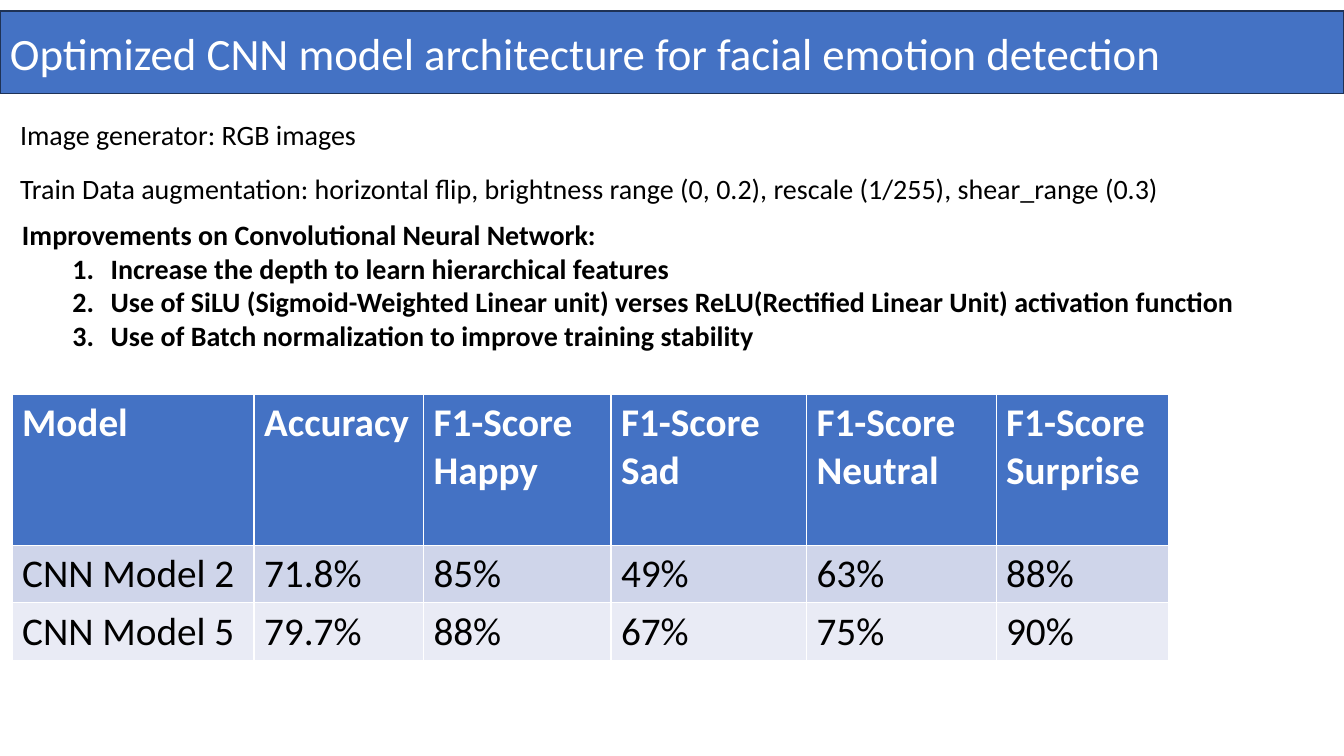
from dataclasses import dataclass

from lxml.etree import SubElement as Sub
from pptx import Presentation
from pptx.dml.color import RGBColor as Color
from pptx.enum.shapes import MSO_SHAPE as Form
from pptx.enum.text import MSO_ANCHOR as Anchor, PP_ALIGN as Align
from pptx.oxml.ns import qn
from pptx.util import Inches, Pt


@dataclass(frozen=True)
class Theme:
    """Colours, font and type sizes of the slide."""

    font: str = "Calibri"
    blue: str = "4472C4"
    edge: str = "1E3256"
    white: str = "FFFFFF"
    black: str = "000000"
    bands: tuple = ("CFD5EA", "E9EBF5")
    title: int = 32
    body: int = 20
    cell: int = 28


class Deck:
    """Draws styled elements on the current slide."""

    def __init__(self, theme):
        self.theme = theme
        self.prs = Presentation()
        self.prs.slide_width = Inches(13.33)
        self.prs.slide_height = Inches(7.5)
        self.slide = self.prs.slides.add_slide(self.prs.slide_layouts[6])

    def style(self, frame, size, color, bold=False):
        """Format every run in a text frame."""
        for para in frame.paragraphs:
            para.alignment = Align.LEFT
            for run in para.runs:
                font = run.font
                font.name, font.size, font.bold = self.theme.font, Pt(size), bold
                font.color.rgb = Color.from_string(color)

    def banner(self, text, *box):
        """Add the title bar."""
        bar = self.slide.shapes.add_shape(Form.RECTANGLE, *map(Inches, box))
        bar.shadow.inherit = False
        bar.fill.solid()
        bar.fill.fore_color.rgb = Color.from_string(self.theme.blue)
        bar.line.color.rgb = Color.from_string(self.theme.edge)
        bar.line.width = Pt(1)
        bar.text_frame.text = text
        bar.text_frame.vertical_anchor = Anchor.MIDDLE
        self.style(bar.text_frame, self.theme.title, self.theme.white)

    def text(self, lines, *box, bold=False, wrap=True):
        """Add a text box and return its paragraphs."""
        frame = self.slide.shapes.add_textbox(*map(Inches, box)).text_frame
        frame.word_wrap = wrap
        frame.text = "\n".join(lines)
        self.style(frame, self.theme.body, self.theme.black, bold)
        return frame.paragraphs

    def number(self, paras):
        """Turn paragraphs into an indented numbered list."""
        for para in paras:
            para.level = 1
            props = para._p.get_or_add_pPr()
            props.set("marL", str(Inches(0.88)))
            props.set("indent", str(Inches(-0.38)))
            Sub(props, qn("a:buFont"), typeface="+mj-lt")
            Sub(props, qn("a:buAutoNum"), type="arabicPeriod")

    def table(self, rows, left, top, widths, heights):
        """Add a table with a header row and banded body rows."""
        theme = self.theme
        box = map(Inches, (left, top, sum(widths), sum(heights)))
        grid = self.slide.shapes.add_table(len(rows), len(widths), *box).table
        for col, width in zip(grid.columns, widths):
            col.width = Inches(width)
        for i, (row, height) in enumerate(zip(rows, heights)):
            grid.rows[i].height = Inches(height)
            fill = theme.bands[(i - 1) % 2] if i else theme.blue
            color = theme.black if i else theme.white
            for j, text in enumerate(row):
                cell = grid.cell(i, j)
                cell.fill.solid()
                cell.fill.fore_color.rgb = Color.from_string(fill)
                cell.text_frame.text = text
                self.style(cell.text_frame, theme.cell, color, i == 0)


def main():
    """Build and save the slide."""
    deck = Deck(Theme())
    deck.banner("Optimized CNN model architecture for facial emotion detection",
                0, 0.11, 13.33, 0.82)
    data = deck.text([
        "Image generator: RGB images",
        "Train Data augmentation: horizontal flip, brightness range (0, 0.2), "
        "rescale (1/255), shear_range (0.3)",
    ], 0.1, 1.12, 11.61, 1.18)
    data[1].space_before = Pt(24.4)
    data[1].line_spacing = Pt(14.2)
    steps = deck.text([
        "Improvements on Convolutional Neural Network:",
        "Increase the depth to learn hierarchical features",
        "Use of SiLU (Sigmoid-Weighted Linear unit) verses "
        "ReLU(Rectified Linear Unit) activation function",
        "Use of Batch normalization to improve training stability",
    ], 0.12, 2.11, 12.33, 1.45, bold=True, wrap=False)
    deck.number(steps[1:])
    moods = ("Happy", "Sad", "Neutral", "Surprise")
    deck.table([
        ["Model", "Accuracy", *(f"F1-Score\n{mood}" for mood in moods)],
        ["CNN Model 2", "71.8%", "85%", "49%", "63%", "88%"],
        ["CNN Model 5", "79.7%", "88%", "67%", "75%", "90%"],
    ], 0.12, 3.91, (2.4, 1.68, 1.86, 1.94, 1.88, 1.71), (1.5, 0.57, 0.57))
    deck.prs.save("out.pptx")


if __name__ == "__main__":
    main()
